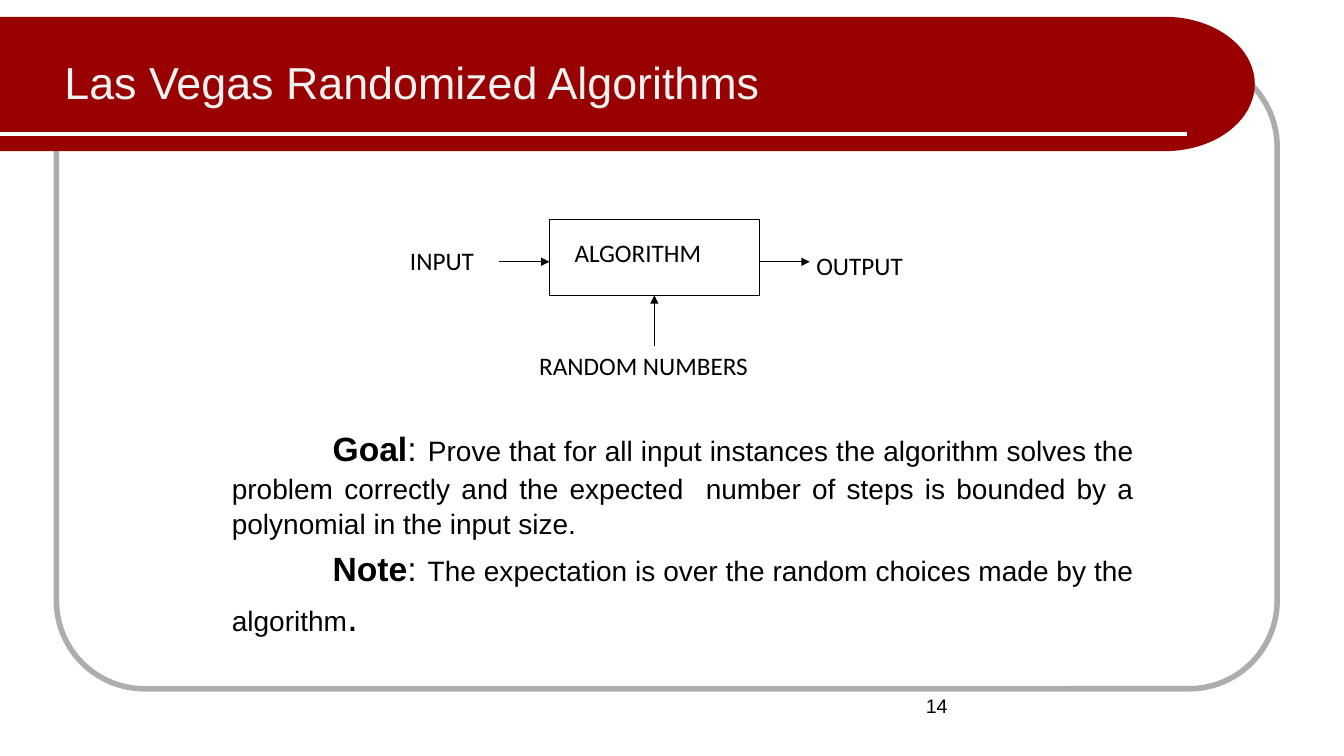
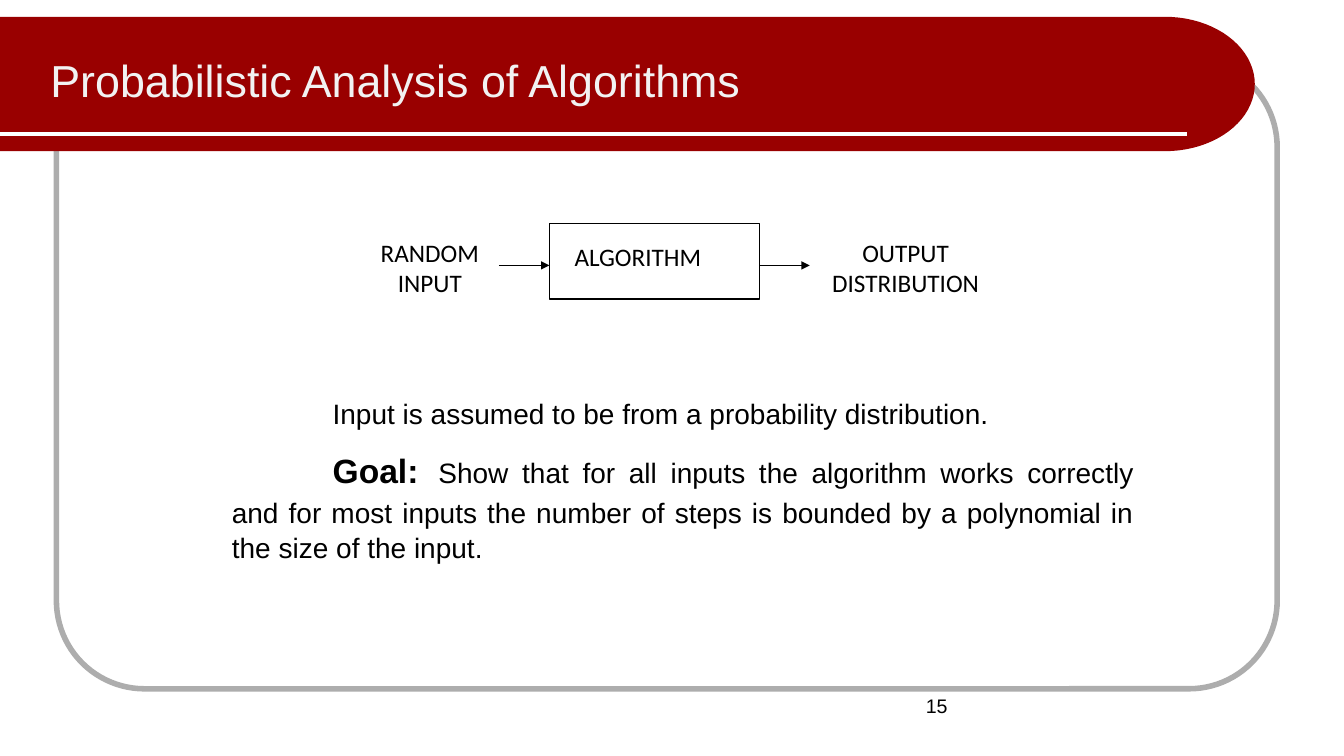
"""Builds two slides on randomized algorithms, each with a flow diagram and a goal."""
from math import cos, pi, sin

from lxml.etree import SubElement
from pptx import Presentation
from pptx.dml.color import RGBColor
from pptx.enum.shapes import MSO_CONNECTOR, MSO_SHAPE
from pptx.enum.text import MSO_ANCHOR, PP_ALIGN
from pptx.oxml.ns import qn
from pptx.util import Pt

COLORS = {"band": "990000", "frame": "ADADAD", "rule": "FFFFFF", "title": "F2F2F2", "ink": "000000"}
HEADING, BODY, LABEL = "Arial", "Arial", "Calibri"
LINE_SPACING = 1.05

SLIDES = [
    {
        "title": "Las Vegas Randomized Algorithms",
        "title_at": (46, 37.4),
        "number": "14",
        "diagram_top": 157,
        "labels": [
            (["INPUT"], (285.8, 172, 60.5, 29)),
            (["OUTPUT"], (576, 175, 77, 29)),
            (["RANDOM NUMBERS"], (378, 247, 165, 29)),
        ],
        "random_source": True,
        "body_top": 300.2,
        "body": [
            [("Goal", 24, True), (":", 24, False), (" ", 28, False),
             ("Prove that for all input instances the algorithm solves the problem correctly and "
              "the expected  number of steps is bounded by a polynomial in the input size.", 20, False)],
            [("Note", 24, True), (":", 24, False), (" ", 28, False),
             ("The expectation is over the random choices made by the algorithm", 20, False),
             (".", 28, False)],
        ],
    },
    {
        "title": "Probabilistic Analysis of Algorithms",
        "title_at": (36, 36),
        "number": "15",
        "diagram_top": 159.6,
        "labels": [
            (["RANDOM", "INPUT"], (264.2, 165.6, 85.7, 51)),
            (["OUTPUT", "DISTRIBUTION"], (586.8, 165.6, 120.2, 51)),
        ],
        "random_source": False,
        "body_top": 282.2,
        "body": [
            [("Input is assumed to be from a probability distribution.", 20, False)],
            [("Goal:", 24, True), (" ", 36, True),
             ("Show that for all inputs the algorithm works correctly and for most inputs the number "
              "of steps is bounded by a polynomial in the size of the input.", 20, False)],
        ],
    },
]

BOX_LEFT, BOX_WIDTH, BOX_HEIGHT = 392.4, 150, 54
ARROW_LENGTH, ARROW_DROP = 36, 30


def color(name):
    return RGBColor.from_string(COLORS[name])


def style_run(run, font, size, ink="ink", bold=False):
    run.font.name, run.font.size, run.font.bold = font, Pt(size), bold
    run.font.color.rgb = color(ink)


def style_shape(shape, fill=None, line=None, width=0.75):
    shape.shadow.inherit = False
    if fill:
        shape.fill.solid()
        shape.fill.fore_color.rgb = color(fill)
    else:
        shape.fill.background()
    if line:
        shape.line.color.rgb = color(line)
        shape.line.width = Pt(width)
    else:
        shape.line.fill.background()


def add_text(slide, lines, area, font, size, ink="ink", align=PP_ALIGN.LEFT,
             inset=None, wrap=True, spacing=1.0):
    frame = slide.shapes.add_textbox(*map(Pt, area)).text_frame
    frame.word_wrap = wrap
    if inset is not None:
        set_insets(frame, inset, inset)
    frame.text = "\n".join(lines)
    for paragraph in frame.paragraphs:
        paragraph.alignment, paragraph.line_spacing = align, spacing
        for run in paragraph.runs:
            style_run(run, font, size, ink)


def set_insets(frame, left, top):
    frame.margin_left, frame.margin_top = Pt(left), Pt(top)
    frame.margin_right = frame.margin_bottom = 0


def add_line(slide, start, end, ink="ink", width=0.75, arrow=False):
    line = slide.shapes.add_connector(MSO_CONNECTOR.STRAIGHT, *map(Pt, start + end))
    line.line.color.rgb, line.line.width = color(ink), Pt(width)
    if arrow:
        SubElement(line.line._get_or_add_ln(), qn("a:tailEnd"), type="triangle")
    SubElement(line._element.spPr, qn("a:effectLst"))


def add_background(slide):
    frame = slide.shapes.add_shape(MSO_SHAPE.ROUNDED_RECTANGLE, Pt(40.3), Pt(42), Pt(872), Pt(450))
    frame.adjustments[0] = 0.14
    style_shape(frame, line="frame", width=3.96)

    top, height, straight, bulge = 12, 96, 832, 64.3
    radius = height / 2
    steps = 40
    angles = [pi / 2 - pi * step / steps for step in range(steps + 1)]
    curve = [(straight + bulge * cos(a), top + radius + radius * sin(a)) for a in angles]
    outline = slide.shapes.build_freeform(0, Pt(top), scale=1.0)
    outline.add_line_segments([(Pt(x), Pt(y)) for x, y in [(0, top + height)] + curve])
    style_shape(outline.convert_to_shape(), fill="band")
    add_line(slide, (0, 96), (848, 96), "rule", 3)


def add_diagram(slide, top, labels, random_source):
    box = slide.shapes.add_shape(MSO_SHAPE.RECTANGLE, *map(Pt, (BOX_LEFT, top, BOX_WIDTH, BOX_HEIGHT)))
    style_shape(box, line="ink")
    frame = box.text_frame
    set_insets(frame, 18, 12.6)
    frame.vertical_anchor = MSO_ANCHOR.TOP
    frame.text = "ALGORITHM"
    frame.paragraphs[0].alignment = PP_ALIGN.LEFT
    style_run(frame.paragraphs[0].runs[0], LABEL, 18)

    arrow_y = top + ARROW_DROP
    for tip in (BOX_LEFT, BOX_LEFT + BOX_WIDTH + ARROW_LENGTH):
        add_line(slide, (tip - ARROW_LENGTH, arrow_y), (tip, arrow_y), arrow=True)
    if random_source:
        middle, bottom = BOX_LEFT + BOX_WIDTH / 2, top + BOX_HEIGHT
        add_line(slide, (middle, bottom + ARROW_LENGTH), (middle, bottom), arrow=True)
    for lines, area in labels:
        align = PP_ALIGN.CENTER if len(lines) > 1 else PP_ALIGN.LEFT
        add_text(slide, lines, area, LABEL, 18, align=align, wrap=False)


def add_body(slide, top, paragraphs):
    frame = slide.shapes.add_textbox(Pt(165.6), Pt(top), Pt(644.4), Pt(150)).text_frame
    frame.word_wrap = True
    set_insets(frame, 0, 0)
    for index, runs in enumerate(paragraphs):
        paragraph = frame.add_paragraph() if index else frame.paragraphs[0]
        paragraph.alignment, paragraph.line_spacing = PP_ALIGN.JUSTIFY, LINE_SPACING
        paragraph._p.get_or_add_pPr().set("indent", str(Pt(72)))
        for text, size, bold in runs:
            run = paragraph.add_run()
            run.text = text
            style_run(run, BODY, size, bold=bold)


def main():
    deck = Presentation()
    deck.slide_width, deck.slide_height = Pt(960), Pt(540)
    for content in SLIDES:
        slide = deck.slides.add_slide(deck.slide_layouts[6])
        add_background(slide)
        add_text(slide, [content["number"]], (516, 492, 168, 37), BODY, 14, align=PP_ALIGN.RIGHT)
        add_text(slide, [content["title"]], content["title_at"] + (819, 39), HEADING, 32, "title",
                 inset=0, spacing=LINE_SPACING)
        add_body(slide, content["body_top"], content["body"])
        add_diagram(slide, content["diagram_top"], content["labels"], content["random_source"])
    deck.save("out.pptx")


if __name__ == "__main__":
    main()
